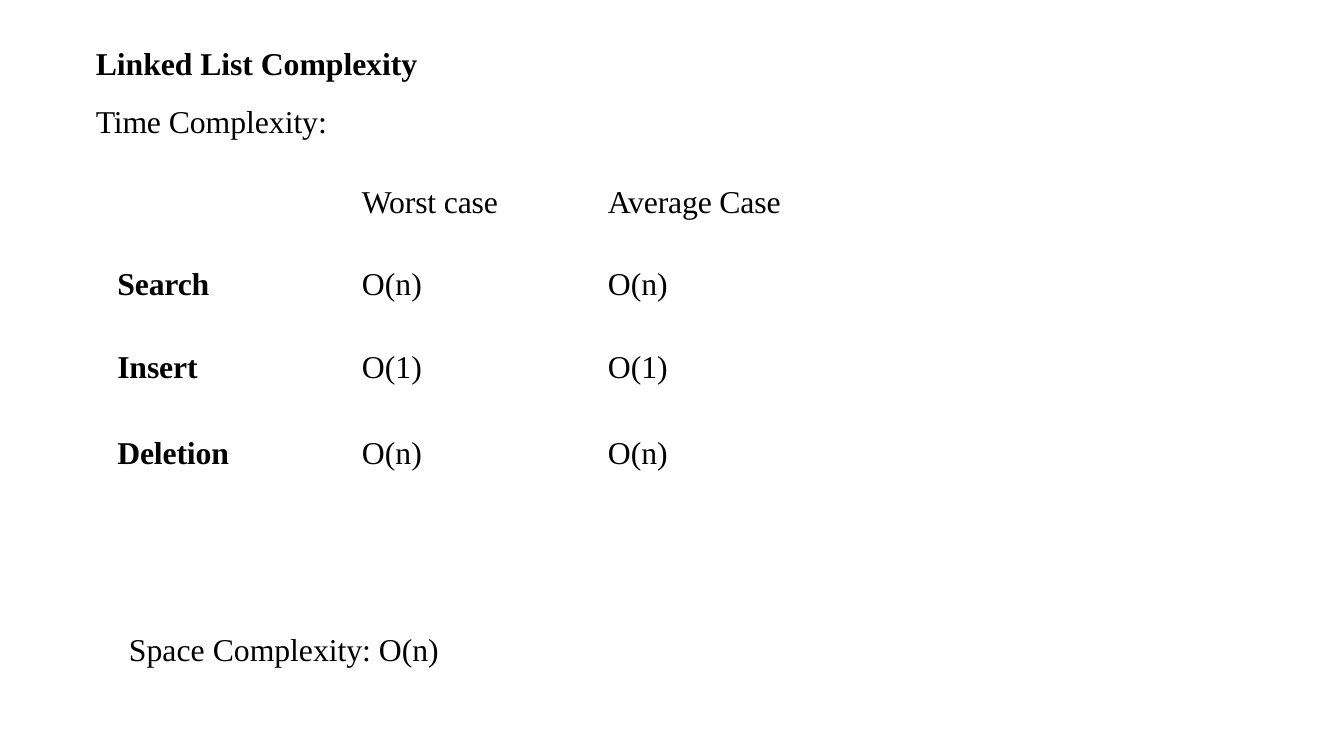
from pptx import Presentation
from pptx.dml.color import RGBColor
from pptx.enum.text import MSO_AUTO_SIZE as AutoSize
from pptx.util import Inches, Pt

BLACK = RGBColor(0x00, 0x00, 0x00)
WIDTH = Inches(10)
HEIGHT = WIDTH * 9 // 16
FONT = {"name": "Times New Roman", "size": Pt(17)}
COLUMN_WIDTHS = (1.47, 1.92, 1.84)
COLUMN_INDENTS = (0.14, 0.49, 0.4)
ROW_HEIGHTS = (0.44, 0.62, 0.63, 0.44)
ROW_LINE_SPACING = (Pt(18.6), None, None, Pt(19.7))
ROWS = (
    ("", "Worst case", "Average Case"),
    ("Search", "O(n)", "O(n)"),
    ("Insert", "O(1)", "O(1)"),
    ("Deletion", "O(n)", "O(n)"),
)


def across(percent):
    """Return a share of the slide's width."""
    return round(WIDTH * percent / 100)


def down(percent):
    """Return a share of the slide's height."""
    return round(HEIGHT * percent / 100)


def set_values(target, values):
    """Set every attribute named in a dict of values."""
    for name, value in values.items():
        setattr(target, name, value)


def write_paragraph(paragraph, runs, indent, bold=False, **spacing):
    """Fill a paragraph with (text, tracking in points) runs."""
    paragraph._p.get_or_add_pPr().set("marL", str(Inches(indent)))
    set_values(paragraph, spacing)
    for text, tracking in runs:
        run = paragraph.add_run()
        run.text = text
        set_values(run.font, {**FONT, "bold": bold})
        run.font.color.rgb = BLACK
        run._r.get_or_add_rPr().set("spc", str(round(tracking * 100)))


def add_text(slide, left, top, width, height, inset, paragraphs):
    """Add a text box placed by percentages of the slide's size."""
    box = slide.shapes.add_textbox(across(left), down(top), across(width), down(height))
    frame = box.text_frame
    set_values(frame, {
        "margin_left": 0, "margin_right": 0, "margin_bottom": 0,
        "margin_top": Inches(inset), "word_wrap": True,
        "auto_size": AutoSize.SHAPE_TO_FIT_TEXT,
    })
    for index, values in enumerate(paragraphs):
        paragraph = frame.add_paragraph() if index else frame.paragraphs[0]
        write_paragraph(paragraph, indent=0.01, **values)


def add_complexity_table(slide, left, top):
    """Add the plain table of time complexities."""
    table = slide.shapes.add_table(
        len(ROWS), len(COLUMN_WIDTHS), across(left), down(top),
        Inches(sum(COLUMN_WIDTHS)), Inches(sum(ROW_HEIGHTS))
    ).table
    set_values(table, {"first_row": False, "horz_banding": False})
    for column, width in zip(table.columns, COLUMN_WIDTHS):
        column.width = Inches(width)
    for row_index, (row, height) in enumerate(zip(table.rows, ROW_HEIGHTS)):
        row.height = Inches(height)
        for column_index, cell in enumerate(row.cells):
            set_values(cell, {
                "margin_left": 0, "margin_right": 0, "margin_bottom": 0,
                "margin_top": Inches(0.16) if row_index else 0,
            })
            cell.fill.background()
            text = ROWS[row_index][column_index]
            if text:
                is_label = column_index == 0
                tracking = 0 if row_index and not is_label else -0.1
                write_paragraph(
                    cell.text_frame.paragraphs[0], [(text, tracking)],
                    COLUMN_INDENTS[column_index], is_label,
                    line_spacing=ROW_LINE_SPACING[row_index],
                )


def main():
    """Build and save the slide."""
    presentation = Presentation()
    set_values(presentation, {"slide_width": WIDTH, "slide_height": HEIGHT})
    slide = presentation.slides.add_slide(presentation.slide_layouts[6])
    add_complexity_table(slide, 7.33, 24.6)
    add_text(slide, 7.04, 3, 24.3, 15.7, 0.16, [
        {"runs": [("Linked List Complexity", -0.05)], "bold": True},
        {"runs": [("Time ", -0.15), ("Complexity:", -0.05)], "space_before": Pt(10.2)},
    ])
    add_text(slide, 9.5, 83.2, 23.4, 5.5, 0.01, [
        {"runs": [("Space ", 0), ("Complexity:", -0.05), (" O(n)", 0)]},
    ])
    presentation.save("out.pptx")


if __name__ == "__main__":
    main()
